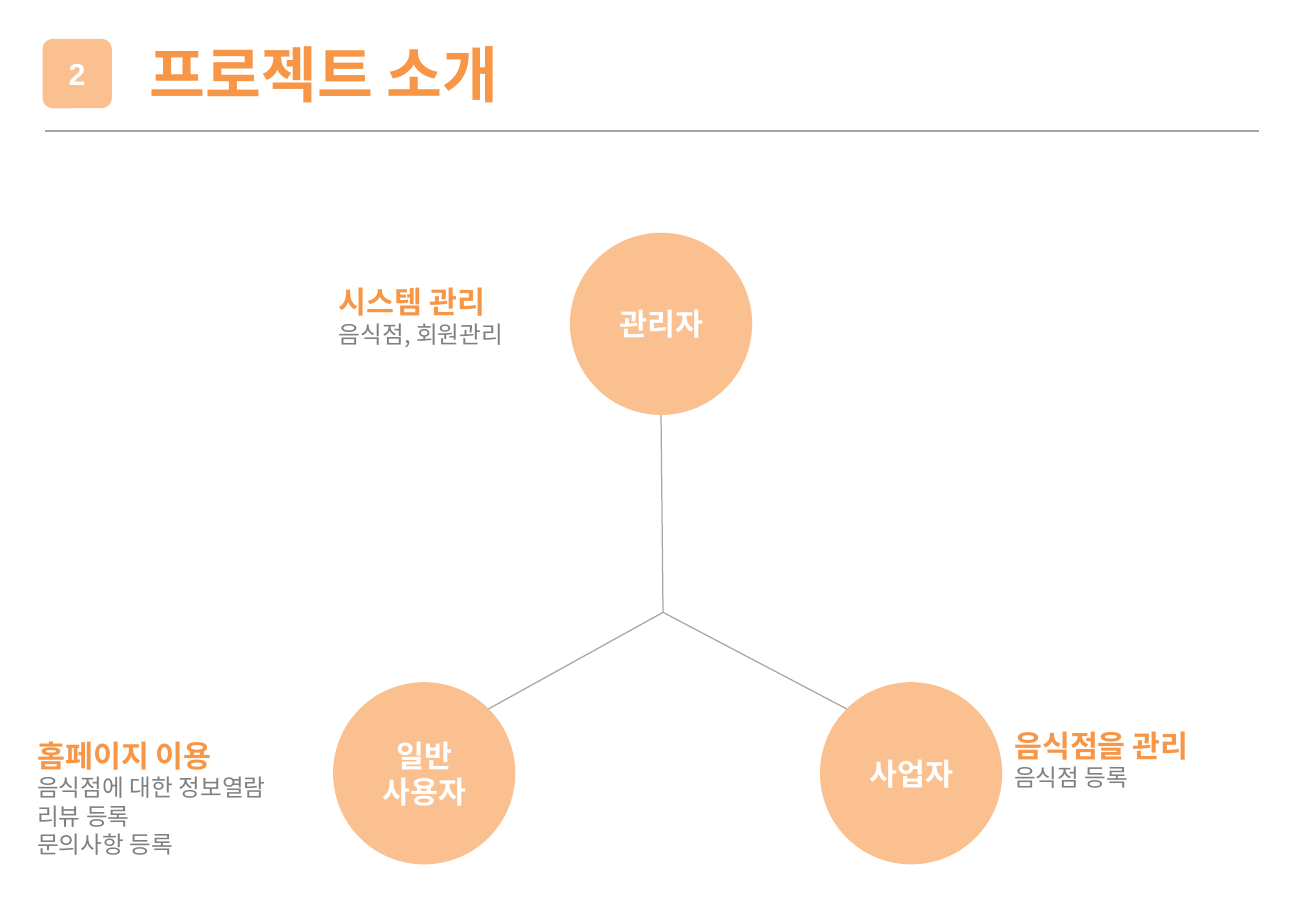
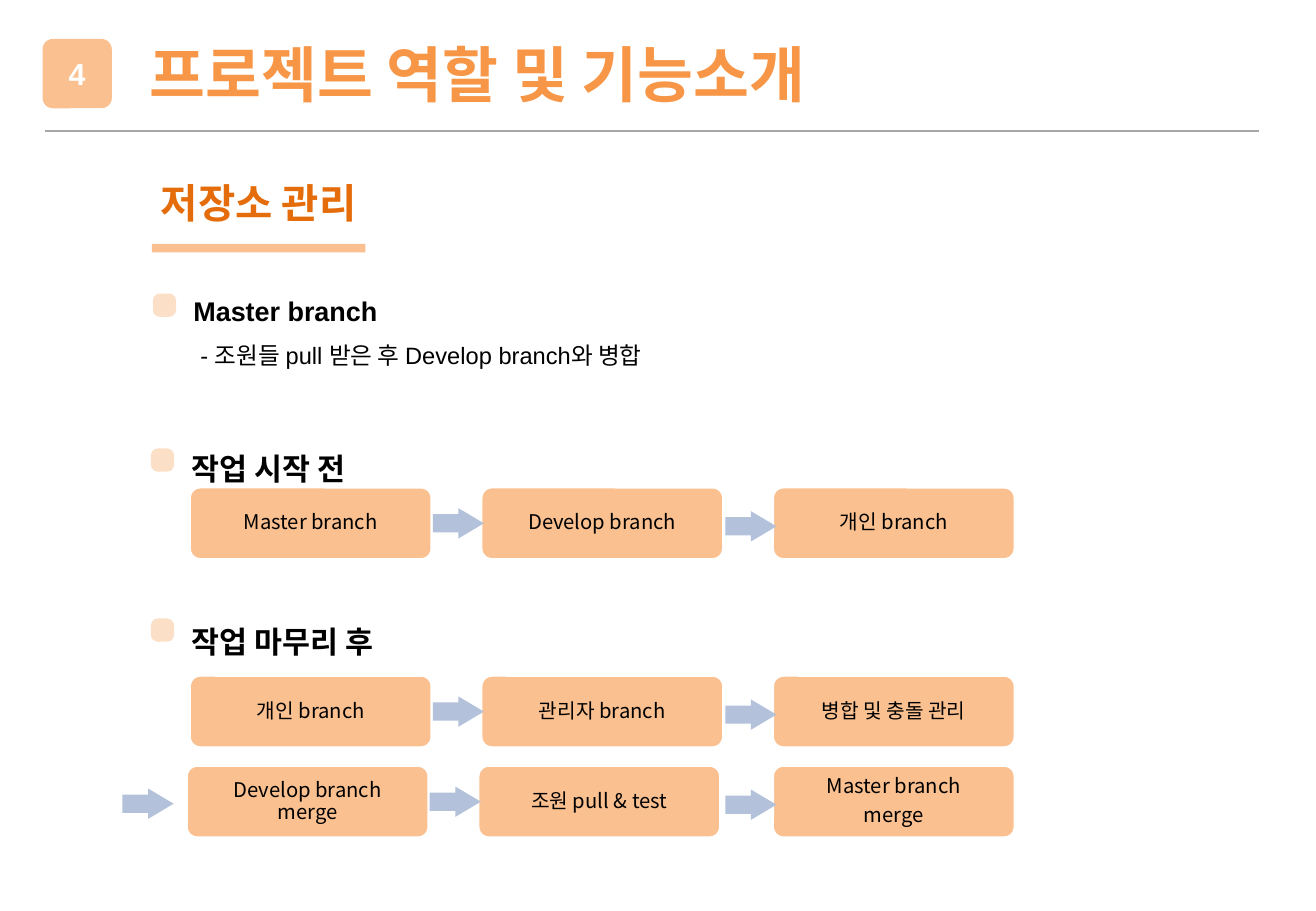
from dataclasses import dataclass
from math import sqrt

from lxml.etree import SubElement
from pptx import Presentation
from pptx.dml.color import RGBColor
from pptx.enum.shapes import MSO_CONNECTOR, MSO_SHAPE
from pptx.enum.text import MSO_ANCHOR, MSO_AUTO_SIZE, PP_ALIGN
from pptx.oxml.ns import qn
from pptx.util import Inches, Pt


@dataclass(frozen=True)
class TextStyle:
    size: float
    color: str
    bold: bool = False
    font: str = "Arial"
    align: PP_ALIGN = PP_ALIGN.LEFT
    spacing: float = 1.0
    after: float = 0
    indent: float = 0


class Theme:
    width = 10.83
    height = 7.5
    columns = 130
    rows = 90

    peach = "FAC090"
    orange = "F79646"
    dark_orange = "E46C0A"
    gray = "808080"
    rule_gray = "A6A6A6"
    arrow_blue = "B3C1DB"
    white = "FFFFFF"
    black = "000000"

    korean = "Noto Sans CJK KR"
    title = TextStyle(36, orange, True, korean)
    badge = TextStyle(18, white, True, align=PP_ALIGN.CENTER)
    role = TextStyle(18, white, True, korean, PP_ALIGN.CENTER)
    caption = TextStyle(18, orange, True)
    detail = TextStyle(14, gray, font=korean)
    section = TextStyle(24, dark_orange, True, korean, PP_ALIGN.CENTER)
    branch = TextStyle(16, black, True, spacing=1.5)
    branch_detail = TextStyle(14, black, spacing=1.5, indent=0.7)
    stage = TextStyle(18, black, True, spacing=1.5)
    step = TextStyle(12, black, False, korean, PP_ALIGN.CENTER, 0.9, 4.2)


class Deck:
    def __init__(self, theme):
        self.theme = theme
        self.presentation = Presentation()
        self.presentation.slide_width = Inches(theme.width)
        self.presentation.slide_height = Inches(theme.height)
        self.slide = None

    def x(self, columns):
        return round(self.presentation.slide_width * columns / self.theme.columns)

    def y(self, rows):
        return round(self.presentation.slide_height * rows / self.theme.rows)

    def box(self, left, top, width, height):
        return self.x(left), self.y(top), self.x(width), self.y(height)

    def start(self, number, title, layout):
        self.slide = self.presentation.slides.add_slide(
            self.presentation.slide_layouts[layout]
        )
        self.placeholder(
            self.slide.shapes.title, (13.55, 3, 89.3, 8.5), [(title, self.theme.title)]
        )
        badge = self.shape(
            MSO_SHAPE.ROUNDED_RECTANGLE, (4.2, 3.85, 6.85, 6.85), adjustments=[0.15]
        )
        self.paragraphs(badge.text_frame, [(number, self.theme.badge)])
        self.line((4.4, 12.95), (124.4, 12.95), 1)

    def paragraphs(self, frame, items):
        frame.word_wrap = True
        for index, (text, style) in enumerate(items):
            paragraph = frame.paragraphs[0] if index == 0 else frame.add_paragraph()
            paragraph.text = text
            paragraph.alignment = style.align
            paragraph.line_spacing = style.spacing
            paragraph.space_before = Pt(0)
            paragraph.space_after = Pt(style.after)
            properties = paragraph._p.get_or_add_pPr()
            properties.set("marL", "0")
            properties.set("indent", str(self.x(style.indent)))
            SubElement(properties, qn("a:buNone"))
            font = paragraph.font
            font.size = Pt(style.size)
            font.bold = style.bold
            font.name = style.font
            font.color.rgb = RGBColor.from_string(style.color)
            east_asian = SubElement(properties.find(qn("a:defRPr")), qn("a:ea"))
            east_asian.set("typeface", self.theme.korean)

    def placeholder(self, shape, box, items):
        shape.left, shape.top, shape.width, shape.height = self.box(*box)
        frame = shape.text_frame
        frame.auto_size = MSO_AUTO_SIZE.NONE
        frame.vertical_anchor = MSO_ANCHOR.TOP
        self.paragraphs(frame, items)

    def text(self, box, items):
        frame = self.slide.shapes.add_textbox(*self.box(*box)).text_frame
        frame.auto_size = MSO_AUTO_SIZE.SHAPE_TO_FIT_TEXT
        self.paragraphs(frame, items)

    def shape(self, kind, box, color=None, adjustments=(), opacity=None):
        shape = self.slide.shapes.add_shape(kind, *self.box(*box))
        shape.shadow.inherit = False
        for index, value in enumerate(adjustments):
            shape.adjustments[index] = value
        shape.fill.solid()
        shape.fill.fore_color.rgb = RGBColor.from_string(color or self.theme.peach)
        if opacity is not None:
            fill_color = shape._element.spPr.find(qn("a:solidFill"))[0]
            SubElement(fill_color, qn("a:alpha")).set("val", str(opacity * 1000))
        shape.line.fill.background()
        shape.text_frame.vertical_anchor = MSO_ANCHOR.MIDDLE
        return shape

    def line(self, start, end, weight):
        connector = self.slide.shapes.add_connector(
            MSO_CONNECTOR.STRAIGHT,
            self.x(start[0]), self.y(start[1]), self.x(end[0]), self.y(end[1]),
        )
        connector.line.color.rgb = RGBColor.from_string(self.theme.rule_gray)
        connector.line.width = Pt(weight)
        SubElement(connector._element.spPr, qn("a:effectLst"))

    def role(self, left, top, diameter, names):
        circle = self.shape(MSO_SHAPE.OVAL, (left, top, diameter, diameter))
        self.paragraphs(circle.text_frame, [(name, self.theme.role) for name in names])

    def caption(self, box, heading, details):
        lines = [(detail, self.theme.detail) for detail in details]
        self.text(box, [(heading, self.theme.caption), *lines])

    def marker(self, left, top):
        self.shape(
            MSO_SHAPE.ROUNDED_RECTANGLE, (left, top, 2.3, 2.3),
            adjustments=[0.3], opacity=50,
        )

    def stage(self, marker_top, heading_top, heading):
        self.marker(14.9, marker_top)
        self.text((17.75, heading_top, 49.9, 6), [(heading, self.theme.stage)])

    def step(self, left, top, lines):
        step = self.shape(
            MSO_SHAPE.ROUNDED_RECTANGLE, (left, top, 24, 7.2), adjustments=[0.15]
        )
        step.line.color.rgb = RGBColor.from_string(self.theme.white)
        step.line.width = Pt(2)
        frame = step.text_frame
        frame.margin_left = frame.margin_right = self.x(2.6)
        self.paragraphs(frame, [(line, self.theme.step) for line in lines])

    def arrow(self, left, top):
        self.shape(
            MSO_SHAPE.RIGHT_ARROW, (left, top, 5.05, 3),
            self.theme.arrow_blue, [0.6, 0.84],
        )

    def flow(self, top, steps, shift=0):
        for index, lines in enumerate(steps):
            offset = shift if index < 2 else 0
            self.step(18.7 + 28.8 * index + offset, top, lines)
        self.arrow(42.75 + shift, top + 2.1)
        self.arrow(71.65, top + 2.4)


def build_introduction(deck):
    deck.start("2", "프로젝트 소개", 5)
    diameter = 18
    admin, user, owner = (56.3, 23), (32.9, 67.4), (81, 67.4)
    deck.role(*admin, diameter, ["관리자"])
    deck.role(*user, diameter, ["일반", "사용자"])
    deck.role(*owner, diameter, ["사업자"])

    hub = (65.5, 60.5)
    radius = diameter / 2
    diagonal = radius / sqrt(2)
    deck.line((admin[0] + radius, admin[1] + diameter), hub, 0.75)
    for (left, top), side in ((user, 1), (owner, -1)):
        edge = (left + radius + side * diagonal, top + radius - diagonal)
        deck.line(edge, hub, 0.75)

    deck.caption(
        (2.5, 72.2, 30.2, 13.3), "홈페이지 이용",
        ["음식점에 대한 정보열람", "리뷰 등록", "문의사항 등록"],
    )
    deck.caption((32.3, 27.4, 31.9, 7.7), "시스템 관리", ["음식점, 회원관리"])
    deck.caption((99, 71.2, 30, 7.7), "음식점을 관리", ["음식점 등록"])


def build_branch_workflow(deck):
    theme = deck.theme
    deck.start("4", "프로젝트 역할 및 기능소개", 1)
    deck.shape(MSO_SHAPE.RECTANGLE, (15, 24.1, 21.1, 0.85))
    deck.text((11.15, 17, 28.8, 6), [("저장소 관리", theme.section)])

    deck.marker(15.1, 29)
    deck.placeholder(
        deck.slide.placeholders[1], (17.9, 26.9, 49.9, 10.3),
        [
            ("Master branch", theme.branch),
            ("- 조원들 pull 받은 후 Develop branch와 병합", theme.branch_detail),
        ],
    )

    deck.stage(44.3, 42.1, "작업 시작 전")
    deck.flow(48.1, [["Master branch"], ["Develop branch"], ["개인 branch"]])

    deck.stage(61.1, 59.2, "작업 마무리 후")
    deck.flow(66.7, [["개인 branch"], ["관리자 branch"], ["병합 및 충돌 관리"]])
    deck.flow(
        75.6,
        [["Develop branch merge"], ["조원 pull & test"], ["Master branch", "merge"]],
        shift=-0.3,
    )
    deck.arrow(12.1, 77.9)


def main():
    deck = Deck(Theme())
    build_introduction(deck)
    build_branch_workflow(deck)
    deck.presentation.save("out.pptx")


if __name__ == "__main__":
    main()
